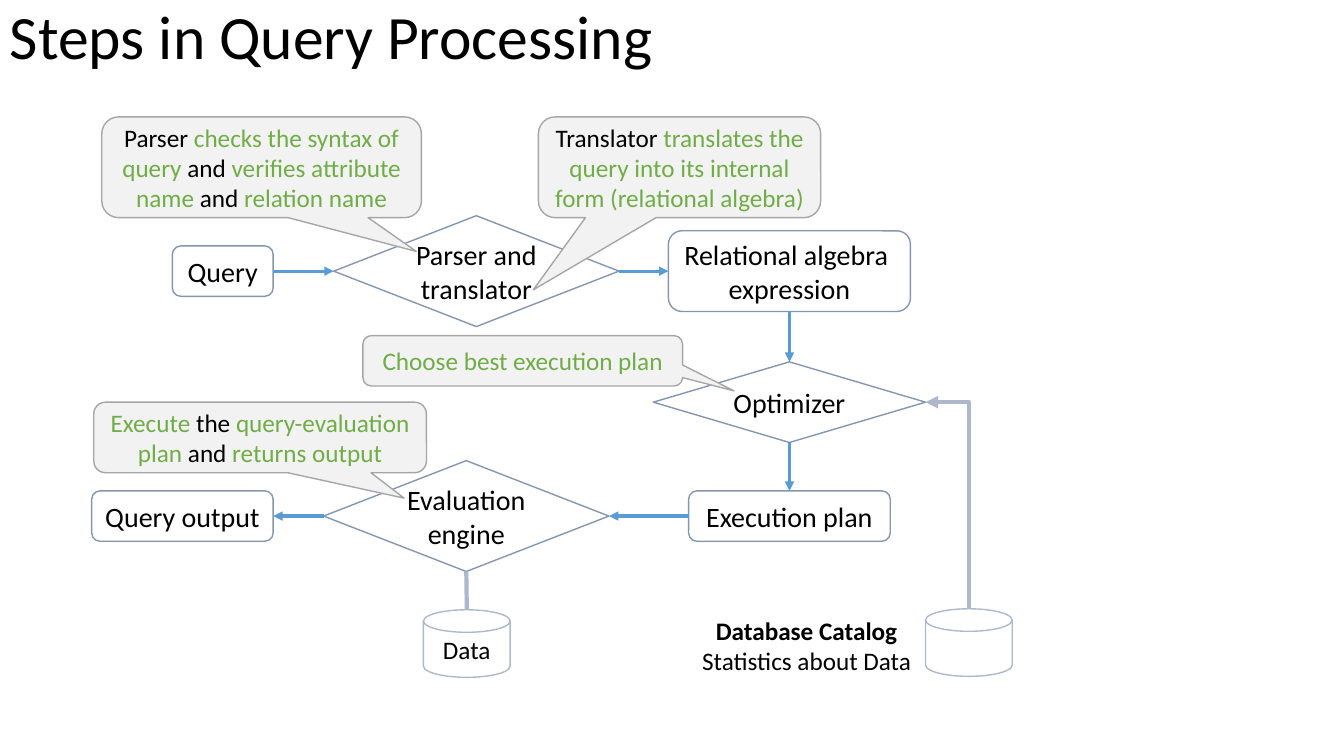
from lxml import etree
from pptx import Presentation
from pptx.dml.color import RGBColor
from pptx.enum import shapes, text
from pptx.oxml.ns import qn
from pptx.util import Inches, Pt

BLACK, GREEN, BLUE = "000000", "70AD47", "5B9BD5"
OUTLINE, STORE = "8497B0", "ADB9CA"
SHAPE, CONNECTOR = shapes.MSO_SHAPE, shapes.MSO_CONNECTOR
TOP, LEFT, BOTTOM, RIGHT = range(4)


def color(value):
    return RGBColor.from_string(value)


def add_run(p, words, size, value=BLACK, bold=False):
    r = p.add_run()
    r.text = words
    r.font.name = "Calibri"
    r.font.size = Pt(size)
    r.font.bold = bold
    r.font.color.rgb = color(value)


def add_text(slide, x, y, w, h):
    """Add an empty wrapping text box and return its text frame."""
    tf = slide.shapes.add_textbox(*map(Inches, (x, y, w, h))).text_frame
    tf.word_wrap = True
    return tf


def add_node(slide, kind, x, y, w, h, line, fill=None):
    sp = slide.shapes.add_shape(kind, *map(Inches, (x, y, w, h)))
    sp.shadow.inherit = False
    if fill:
        sp.fill.solid()
        sp.fill.fore_color.rgb = color(fill)
    else:
        sp.fill.background()
    sp.line.color.rgb = color(line)
    sp.line.width = Pt(1)
    sp.text_frame.word_wrap = True
    sp.text_frame.vertical_anchor = text.MSO_ANCHOR.MIDDLE
    return sp


def write_label(sp, label, size):
    tf = sp.text_frame
    for i, words in enumerate(label.split("\n")):
        p = tf.add_paragraph() if i else tf.paragraphs[0]
        p.alignment = text.PP_ALIGN.CENTER
        add_run(p, words, size)


def add_line(slide, kind, start, end, value, width, arrow=True):
    line = slide.shapes.add_connector(kind, *map(Inches, start + end))
    line.line.color.rgb = color(value)
    line.line.width = Pt(width)
    if arrow:
        etree.SubElement(line.line._get_or_add_ln(), qn("a:tailEnd"), type="triangle")
    etree.SubElement(line._element.spPr, qn("a:effectLst"))
    return line


def add_title(slide, x, y, w, h):
    tf = add_text(slide, x, y, w, h)
    tf.vertical_anchor = text.MSO_ANCHOR.MIDDLE
    p = tf.paragraphs[0]
    p.line_spacing = 0.9
    add_run(p, "Steps in Query Processing", 44)


def add_flow(slide, x, y):
    """Draw the processing steps and the arrows that join them."""
    box, step = SHAPE.ROUNDED_RECTANGLE, SHAPE.FLOWCHART_DECISION
    steps = [
        ("query", box, 0.8, 0.3, 1, 0.5, "Query"),
        ("parser", step, 2.4, 0, 2.83, 1.1, "Parser and translator"),
        ("algebra", box, 5.72, 0.15, 2.4, 0.8, "Relational algebra \nexpression"),
        ("optimizer", step, 5.57, 1.45, 2.7, 0.8, "Optimizer"),
        ("plan", box, 5.92, 2.73, 2, 0.5, "Execution plan"),
        ("engine", step, 2.3, 2.43, 2.83, 1.1, "Evaluation\nengine"),
        ("output", box, 0, 2.73, 1.8, 0.5, "Query output"),
    ]
    nodes = {}
    for name, kind, dx, dy, w, h, label in steps:
        nodes[name] = add_node(slide, kind, x + dx, y + dy, w, h, OUTLINE)
        write_label(nodes[name], label, 20)

    for begin, side, end, end_side in [
        ("query", RIGHT, "parser", LEFT),
        ("parser", RIGHT, "algebra", LEFT),
        ("algebra", BOTTOM, "optimizer", TOP),
        ("optimizer", BOTTOM, "plan", TOP),
        ("plan", LEFT, "engine", RIGHT),
        ("engine", LEFT, "output", RIGHT),
    ]:
        line = add_line(slide, CONNECTOR.STRAIGHT, (x, y), (x, y), BLUE, 2.25)
        line.begin_connect(nodes[begin], side)
        line.end_connect(nodes[end], end_side)
    return nodes


def add_data_store(slide, x, y, w, h, engine):
    disk = add_node(slide, SHAPE.FLOWCHART_MAGNETIC_DISK, x, y, w, h, STORE)
    write_label(disk, "Data", 18)
    top = (x + w / 2, y)
    link = add_line(slide, CONNECTOR.STRAIGHT, top, top, STORE, 3, arrow=False)
    link.end_connect(engine, BOTTOM)


def add_catalog(slide, x, y, w, h, target_y):
    """Draw the catalog, its caption and the arrow up and left to target_y."""
    add_node(slide, SHAPE.FLOWCHART_MAGNETIC_DISK, x, y, w, h, STORE)
    p = add_text(slide, x - 2.35, y + 0.01, 2.34, 0.71).paragraphs[0]
    p.alignment = text.PP_ALIGN.CENTER
    add_run(p, "Database Catalog ", 18, bold=True)
    add_run(p, "Statistics about Data", 18)

    # The elbow is laid out flat around its centre, then turned upright.
    rise, run = y - target_y, w / 2
    cx, cy = x + run / 2, (y + target_y) / 2
    elbow = add_line(slide, CONNECTOR.ELBOW, (cx - rise / 2, cy + run / 2),
                     (cx + rise / 2, cy - run / 2), STORE, 3)
    spPr = elbow._element.spPr
    spPr.find(qn("a:xfrm")).set("rot", str(270 * 60000))
    geometry = spPr.find(qn("a:prstGeom"))
    guides = geometry.find(qn("a:avLst"))
    if guides is None:
        guides = etree.SubElement(geometry, qn("a:avLst"))
    etree.SubElement(guides, qn("a:gd"), name="adj1", fmla="val 100000")


def add_callout(slide, x, y, w, h, tip, parts):
    """Draw a callout; tip is the pointer offset from the centre."""
    sp = add_node(slide, SHAPE.ROUNDED_RECTANGULAR_CALLOUT, x, y, w, h, "A6A6A6", "F2F2F2")
    sp.adjustments[0], sp.adjustments[1] = tip
    p = sp.text_frame.paragraphs[0]
    p.alignment = text.PP_ALIGN.CENTER
    for words, value in parts:
        add_run(p, words, 18, value)


def add_callouts(slide, x, y):
    add_callout(slide, x + 0.08, y, 3.17, 1, (0.484, 0.835), [
        ("Parser ", BLACK), ("checks the syntax of query ", GREEN),
        ("and ", BLACK), ("verifies attribute name ", GREEN),
        ("and ", BLACK), ("relation name", GREEN)])
    add_callout(slide, x + 4.41, y, 2.8, 1, (-0.518, 1.216), [
        ("Translator ", BLACK),
        ("translates the query into its internal form (relational algebra)", GREEN)])
    add_callout(slide, x + 2.67, y + 2.17, 3.17, 0.5, (0.661, 0.597), [
        ("Choose best execution plan", GREEN)])
    add_callout(slide, x, y + 2.83, 3.3, 0.7, (0.433, 0.861), [
        ("Execute ", GREEN), ("the ", BLACK), ("query-evaluation plan ", GREEN),
        ("and ", BLACK), ("returns output", GREEN)])


def main():
    prs = Presentation()
    prs.slide_width, prs.slide_height = Inches(13.33), Inches(7.5)
    slide = prs.slides.add_slide(prs.slide_layouts[6])
    add_title(slide, 0, 0, 13.33, 0.78)
    nodes = add_flow(slide, 0.91, 2.14)
    add_data_store(slide, 4.2, 6.05, 0.86, 0.67, nodes["engine"])
    add_catalog(slide, 9.18, 6.04, 0.86, 0.67, 3.99)
    add_callouts(slide, 0.93, 1.16)
    prs.save("out.pptx")


if __name__ == "__main__":
    main()
